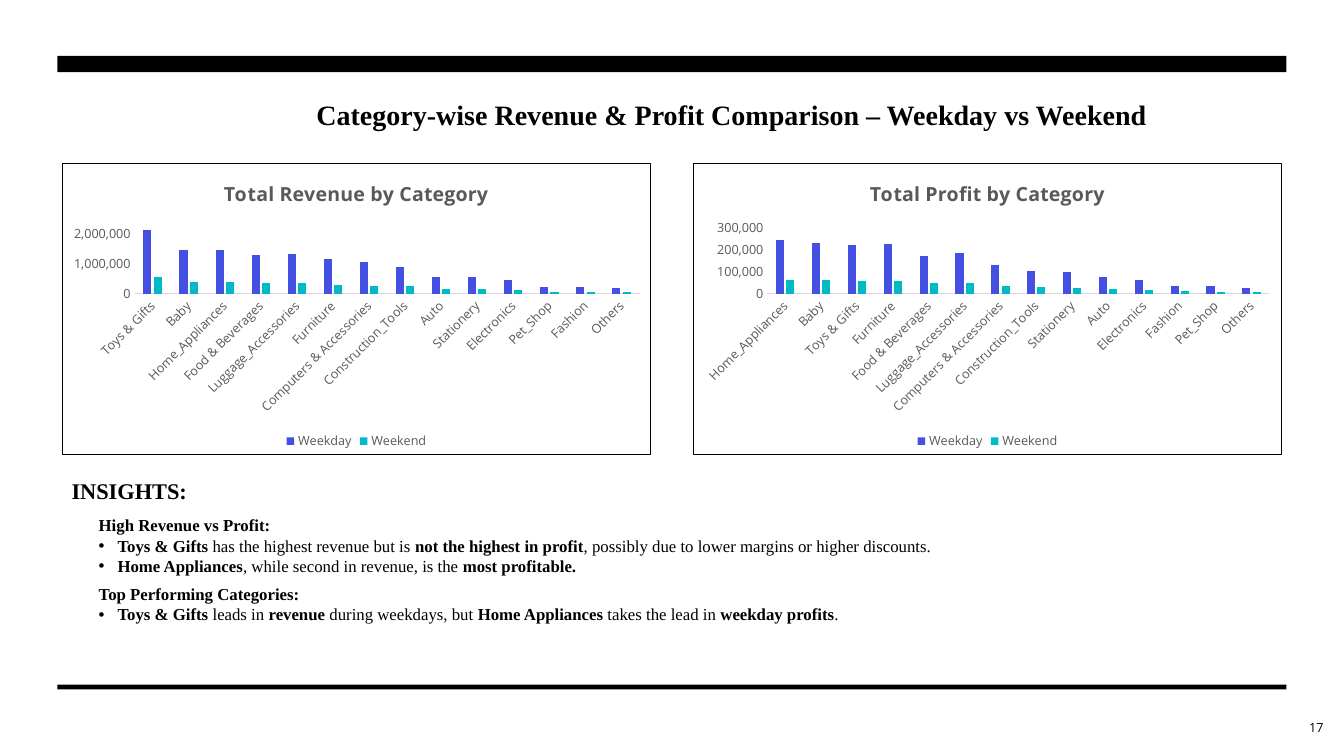
from lxml.etree import SubElement
from pptx import Presentation
from pptx.chart.data import CategoryChartData
from pptx.dml.color import RGBColor
from pptx.enum.chart import XL_CHART_TYPE, XL_LEGEND_POSITION, XL_TICK_MARK
from pptx.enum.shapes import MSO_SHAPE
from pptx.enum.text import MSO_ANCHOR, MSO_AUTO_SIZE, PP_ALIGN
from pptx.oxml import parse_xml
from pptx.oxml.ns import nsdecls, qn
from pptx.util import Pt

BLACK = RGBColor(0x00, 0x00, 0x00)
GRAY = RGBColor(0x59, 0x59, 0x59)
AXIS_GRAY = RGBColor(0xD9, 0xD9, 0xD9)
WEEKDAY_BLUE = RGBColor(0x44, 0x50, 0xE2)
WEEKEND_TEAL = RGBColor(0x00, 0xBA, 0xC8)
SERIF = "Times New Roman"
SANS = "Open Sans"

# Category: (weekday, weekend), in thousands
REVENUE = {
    "Toys & Gifts": (2150, 550), "Baby": (1460, 390),
    "Home_Appliances": (1460, 380), "Food & Beverages": (1310, 370),
    "Luggage_Accessories": (1330, 350), "Furniture": (1150, 290),
    "Computers & Accessories": (1070, 270), "Construction_Tools": (880, 250),
    "Auto": (550, 150), "Stationery": (560, 140), "Electronics": (440, 110),
    "Pet_Shop": (210, 50), "Fashion": (210, 50), "Others": (180, 40),
}
PROFIT = {
    "Home_Appliances": (248, 64), "Baby": (233, 63),
    "Toys & Gifts": (225, 59), "Furniture": (226, 58),
    "Food & Beverages": (173, 49), "Luggage_Accessories": (187, 48),
    "Computers & Accessories": (129, 33), "Construction_Tools": (104, 29),
    "Stationery": (98, 25), "Auto": (75, 20), "Electronics": (64, 17),
    "Fashion": (35, 10), "Pet_Shop": (33, 8), "Others": (24, 6),
}

# Paragraphs: (bulleted, space after, runs of (text, bold))
INSIGHTS = [
    (False, 0, [("High Revenue vs Profit:", True)]),
    (True, 0, [("Toys & Gifts", True), (" has the highest revenue but is ", False),
               ("not the highest in profit", True),
               (", possibly due to lower margins or higher discounts.", False)]),
    (True, 6, [("Home Appliances", True), (", while second in revenue, is the ", False),
               ("most profitable.", True)]),
    (False, 0, [("Top Performing Categories:", True)]),
    (True, 0, [("Toys & Gifts", True), (" leads in ", False), ("revenue", True),
               (" during weekdays, but ", False), ("Home Appliances", True),
               (" takes the lead in ", False), ("weekday profits", True), (".", False)]),
]


def style_font(font, size, color, name, bold=False):
    font.size, font.name, font.bold = Pt(size), name, bold
    font.color.rgb = color


def add_rule(slide, left, top, width, height):
    shape = slide.shapes.add_shape(
        MSO_SHAPE.RECTANGLE, Pt(left), Pt(top), Pt(width), Pt(height))
    shape.shadow.inherit = False
    shape.fill.solid()
    shape.fill.fore_color.rgb = BLACK
    shape.line.fill.background()


def add_text(slide, box, paragraphs, size, name=SERIF):
    """Place paragraphs of mixed runs in the box; return the text frame."""
    frame = slide.shapes.add_textbox(*map(Pt, box)).text_frame
    frame.word_wrap = True
    frame.auto_size = MSO_AUTO_SIZE.SHAPE_TO_FIT_TEXT
    for index, (bulleted, space_after, runs) in enumerate(paragraphs):
        paragraph = frame.add_paragraph() if index else frame.paragraphs[0]
        paragraph.space_after = Pt(space_after)
        for text, bold in runs:
            run = paragraph.add_run()
            run.text = text
            style_font(run.font, size, BLACK, name, bold)
        if bulleted:
            properties = paragraph._p.get_or_add_pPr()
            properties.set("marL", str(Pt(13.5)))
            properties.set("indent", str(-Pt(13.5)))
            SubElement(properties, qn("a:buFont"), typeface="Arial")
            SubElement(properties, qn("a:buChar"), char="•")
    return frame


def frame_chart(chart, plot_box):
    """Outline the chart and fix its plot area, given as fractions."""
    chart._chartSpace.find(qn("c:chart")).addnext(parse_xml(
        f'<c:spPr {nsdecls("c", "a")}><a:ln w="{Pt(0.75)}"><a:solidFill>'
        f'<a:srgbClr val="{BLACK}"/></a:solidFill></a:ln></c:spPr>'))
    plot_area = chart._chartSpace.find(".//" + qn("c:plotArea"))
    for old_layout in plot_area.findall(qn("c:layout")):
        plot_area.remove(old_layout)
    layout = parse_xml(f'<c:layout {nsdecls("c")}/>')
    manual = SubElement(layout, qn("c:manualLayout"))
    settings = [("layoutTarget", "inner"), ("xMode", "edge"), ("yMode", "edge")]
    for tag, value in settings + list(zip("xywh", plot_box)):
        SubElement(manual, qn("c:" + tag), val=str(value))
    plot_area.insert(0, layout)


def add_category_chart(slide, box, title, values, maximum, unit, plot_box):
    data = CategoryChartData(number_format="#,##0")
    data.categories = list(values)
    for name, amounts in zip(("Weekday", "Weekend"), zip(*values.values())):
        data.add_series(name, [amount * 1000 for amount in amounts])
    chart = slide.shapes.add_chart(
        XL_CHART_TYPE.COLUMN_CLUSTERED, *map(Pt, box), data).chart
    style_font(chart.font, 10, BLACK, SANS)
    frame_chart(chart, plot_box)

    # Title and legend
    chart.has_title = True
    run = chart.chart_title.text_frame.paragraphs[0].add_run()
    run.text = title
    style_font(run.font, 14, GRAY, SANS, True)
    chart.chart_title.include_in_layout = False
    chart.has_legend = True
    chart.legend.position = XL_LEGEND_POSITION.BOTTOM
    chart.legend.include_in_layout = False
    style_font(chart.legend.font, 9, GRAY, SANS)

    # Columns
    plot = chart.plots[0]
    plot.vary_by_categories = False
    plot.gap_width, plot.overlap = 219, -27
    for series, color in zip(plot.series, (WEEKDAY_BLUE, WEEKEND_TEAL)):
        series.format.fill.solid()
        series.format.fill.fore_color.rgb = color

    # Axes
    for axis in (chart.category_axis, chart.value_axis):
        axis.major_tick_mark = axis.minor_tick_mark = XL_TICK_MARK.NONE
        axis.has_major_gridlines = False
        style_font(axis.tick_labels.font, 9, GRAY, SANS)
    category_line = chart.category_axis.format.line
    category_line.color.rgb = AXIS_GRAY
    category_line.width = Pt(0.75)
    label_body = chart.category_axis._element.find(qn("c:txPr")).find(qn("a:bodyPr"))
    label_body.set("rot", str(-45 * 60000))
    value_axis = chart.value_axis
    value_axis.format.line.fill.background()
    value_axis.minimum_scale, value_axis.maximum_scale = 0, maximum
    value_axis.major_unit = unit
    value_axis.tick_labels.number_format = "#,##0"
    value_axis.tick_labels.number_format_is_linked = False


def add_page_frame(slide, left, width, number):
    """Rules above and below the content, and the page number."""
    add_rule(slide, left, 40, width, 11.5)
    add_rule(slide, left, 489, width, 3.5)
    frame = add_text(slide, (902, 505.5, 50.5, 28.8),
                     [(False, 0, [(number, False)])], 9, SANS)
    frame.auto_size = MSO_AUTO_SIZE.NONE
    frame.vertical_anchor = MSO_ANCHOR.MIDDLE
    frame.paragraphs[0].alignment = PP_ALIGN.RIGHT


def add_charts(slide, left, top, width, height, gap):
    chart_width = (width - gap) / 2
    charts = [
        ("Total Revenue by Category", REVENUE, 2200000, 1000000,
         (0.123, 0.222, 0.858, 0.225)),
        ("Total Profit by Category", PROFIT, 300000, 100000,
         (0.126, 0.222, 0.853, 0.225)),
    ]
    for index, chart in enumerate(charts):
        box = (left + index * (chart_width + gap), top, chart_width, height)
        add_category_chart(slide, box, *chart)


def add_insights(slide, left, top, width):
    add_text(slide, (left, top, 480, 26.6), [(False, 0, [("INSIGHTS:", True)])], 16)
    add_text(slide, (left + 19.4, top + 27.4, width, 85.7), INSIGHTS, 12)


def main():
    presentation = Presentation()
    presentation.slide_width, presentation.slide_height = Pt(960), Pt(540)
    slide = presentation.slides.add_slide(presentation.slide_layouts[6])
    add_page_frame(slide, 41, 878, "17")
    add_charts(slide, 44, 116.7, 872, 208, 29.5)
    heading = "Category-wise Revenue & Profit Comparison – Weekday vs Weekend"
    add_text(slide, (218.9, 66.2, 623.5, 31.5), [(False, 0, [(heading, True)])], 20)
    add_insights(slide, 44, 337, 802)
    presentation.save("out.pptx")


if __name__ == "__main__":
    main()
